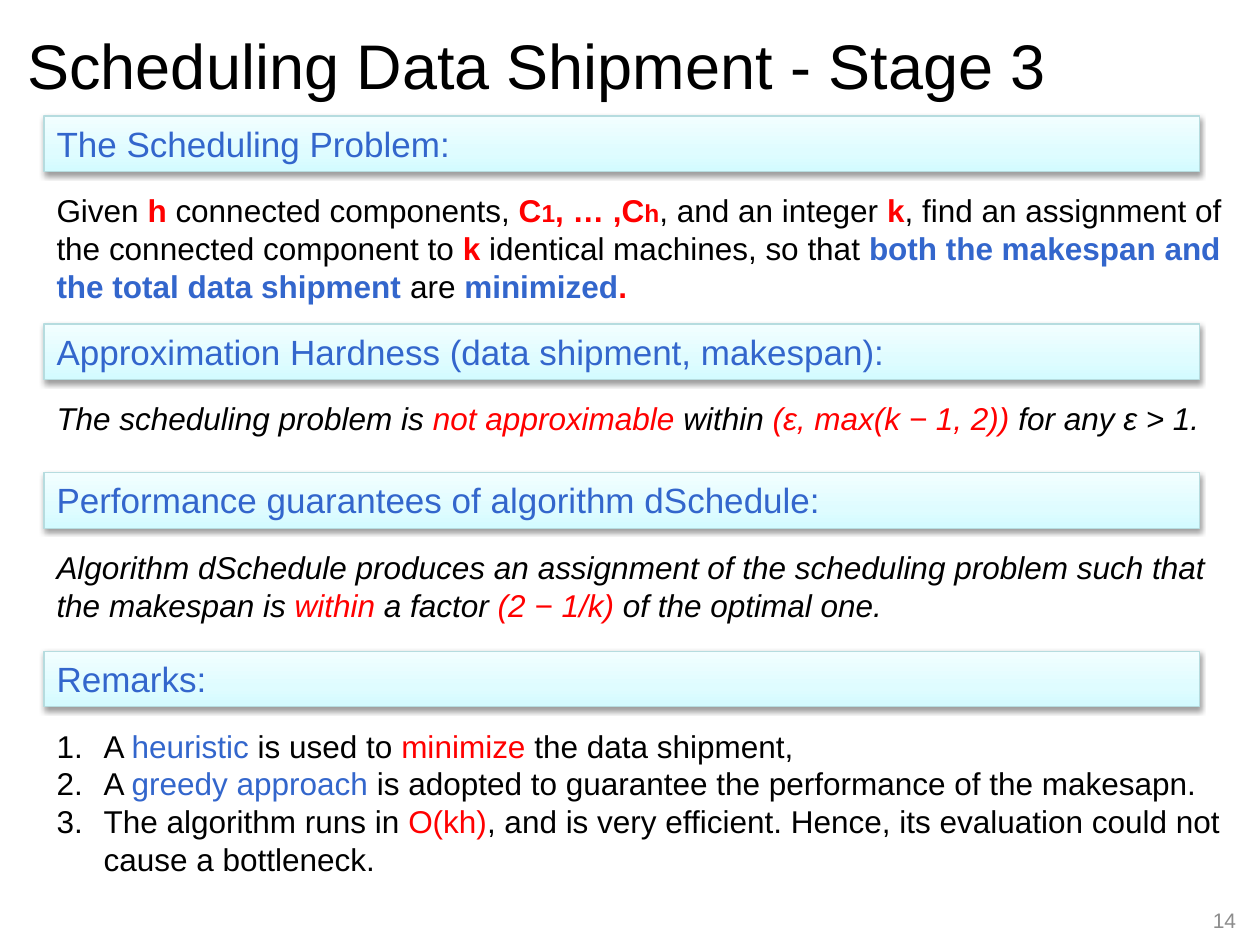
from pptx import Presentation
from pptx.dml.color import RGBColor as RGB
from pptx.enum.shapes import MSO_SHAPE as Shape
from pptx.enum.text import MSO_ANCHOR as Anchor, MSO_AUTO_SIZE as Fit, PP_ALIGN as Align
from pptx.oxml import parse_xml
from pptx.oxml.ns import qn
from pptx.util import Cm, Pt
from lxml.etree import SubElement as Sub

BLACK = RGB(0, 0, 0)
RED = RGB(0xFF, 0, 0)
BLUE = RGB(0x33, 0x66, 0xCC)
GREY = RGB(0x8C, 0x8C, 0x8C)
EDGE = RGB(0xB6, 0xDC, 0xDF)
FADE = [(0, RGB(0xD3, 0xFB, 0xFF)), (35, RGB(0xDF, 0xFC, 0xFF)),
        (100, RGB(0xF2, 0xFE, 0xFF))]
FACE = "Arial"
LEFT = Cm(0.89)
NS = 'xmlns:a="http://schemas.openxmlformats.org/drawingml/2006/main"'

# Sections: bar top and body height in cm, heading, italic, numbered, paragraphs.
# A run is plain text or (text, colour, bold, size).
PARTS = [
    (2.34, 2.79, "The Scheduling Problem:", False, False, [
        ["Given ", ("h", RED, True), " connected components, ",
         ("C", RED, True), ("1", RED, True, 14), (", … ,C", RED, True),
         ("h", RED, True, 14), ", and an integer ", ("k", RED, True),
         ", find an assignment of the connected component to ",
         ("k", RED, True), " identical machines, so that ",
         ("both the makespan and the total data shipment ", BLUE, True),
         "are ", ("minimized", BLUE, True), (".", RED, True)]]),
    (6.53, 1.19, "Approximation Hardness (data shipment, makespan):", True, False, [
        ["The scheduling problem is ", ("not approximable ", RED), "within ",
         ("(ε, max(k − 1, 2))", RED), " for any ε > 1."]]),
    (9.53, 2.01, "Performance guarantees of algorithm dSchedule:", True, False, [
        ["Algorithm dSchedule produces an assignment of the scheduling "
         "problem such that the makespan is ", ("within", RED), " a factor ",
         ("(2 − 1/k)", RED), " of the optimal one."]]),
    (13.13, 3.4, "Remarks:", False, True, [
        ["A ", ("heuristic", BLUE), " is used to ", ("minimize", RED),
         " the data shipment,"],
        ["A ", ("greedy approach ", BLUE),
         "is adopted to guarantee the performance of the makesapn."],
        ["The algorithm runs in ", ("O(kh)", RED), ", and is very efficient. "
         "Hence, its evaluation could not cause a bottleneck."]]),
]


def style(para, size, color):
    font = para.font
    font.name, font.size, font.color.rgb = FACE, Pt(size), color


def add_run(para, text, color=None, bold=False, size=None):
    run = para.add_run()
    run.text = text
    if color is not None:
        run.font.color.rgb = color
    if bold:
        run.font.bold = True
    if size:
        run.font.size = Pt(size)


def number(para):
    props = para._p.get_or_add_pPr()
    props.set("marL", str(Cm(0.95)))
    props.set("indent", str(-Cm(0.95)))
    Sub(props, qn("a:buFont"), typeface="+mj-lt")
    Sub(props, qn("a:buAutoNum"), type="arabicPeriod")


def add_title(slide, text):
    title = slide.shapes.title
    title.left, title.top, title.width, title.height = (
        Cm(0.3), Cm(0.2), Cm(24.8), Cm(2.2))
    frame = title.text_frame
    frame.text = text
    frame.vertical_anchor = Anchor.MIDDLE
    para = frame.paragraphs[0]
    para.alignment = Align.LEFT
    style(para, 36, BLACK)


def add_bar(slide, top, text):
    bar = slide.shapes.add_shape(Shape.RECTANGLE, LEFT, top, Cm(23.29), Cm(1.12))
    bar.line.color.rgb = EDGE
    bar.line.width = Pt(0.75)
    # Three-stop fade, pale at the top
    stops = "".join(f'<a:gs pos="{pos * 1000}"><a:srgbClr val="{color}"/></a:gs>'
                    for pos, color in FADE)
    props = bar._element.spPr
    props.find(qn("a:prstGeom")).addnext(parse_xml(
        f'<a:gradFill {NS} rotWithShape="1"><a:gsLst>{stops}</a:gsLst>'
        '<a:lin ang="16200000" scaled="0"/></a:gradFill>'))
    # Soft drop shadow
    bar.shadow.inherit = False
    props.find(qn("a:effectLst")).append(parse_xml(
        f'<a:outerShdw {NS} blurRad="{Pt(3.1)}" dist="{Pt(1.6)}" dir="5400000" '
        'rotWithShape="0"><a:srgbClr val="000000"><a:alpha val="38000"/>'
        '</a:srgbClr></a:outerShdw>'))
    frame = bar.text_frame
    frame.text = text
    frame.vertical_anchor = Anchor.TOP
    frame.auto_size = Fit.SHAPE_TO_FIT_TEXT
    para = frame.paragraphs[0]
    para.alignment = Align.LEFT
    style(para, 20, BLUE)


def add_body(slide, top, high, paras, slant, listed):
    frame = slide.shapes.add_textbox(LEFT, top, Cm(24), high).text_frame
    frame.word_wrap = True
    for i, runs in enumerate(paras):
        para = frame.add_paragraph() if i else frame.paragraphs[0]
        para.line_spacing = Pt(21.5)
        if listed:
            number(para)
        style(para, 18, BLACK)
        para.font.italic = slant
        for run in runs:
            add_run(para, *([run] if isinstance(run, str) else run))


def add_page(slide, text):
    frame = slide.shapes.add_textbox(Cm(19.25), Cm(18.03), Cm(5.92), Cm(1.02)).text_frame
    frame.word_wrap = True
    frame.vertical_anchor = Anchor.MIDDLE
    frame.text = text
    para = frame.paragraphs[0]
    para.alignment = Align.RIGHT
    style(para, 12, GREY)


def main():
    deck = Presentation()
    deck.slide_width, deck.slide_height = Cm(25.4), Cm(19.05)
    slide = deck.slides.add_slide(deck.slide_layouts[5])
    add_title(slide, "Scheduling Data Shipment - Stage 3")
    add_page(slide, "14")
    for top, high, head, slant, listed, paras in PARTS:
        add_bar(slide, Cm(top), head)
        add_body(slide, Cm(top + 1.4), Cm(high), paras, slant, listed)
    deck.save("out.pptx")


if __name__ == "__main__":
    main()
